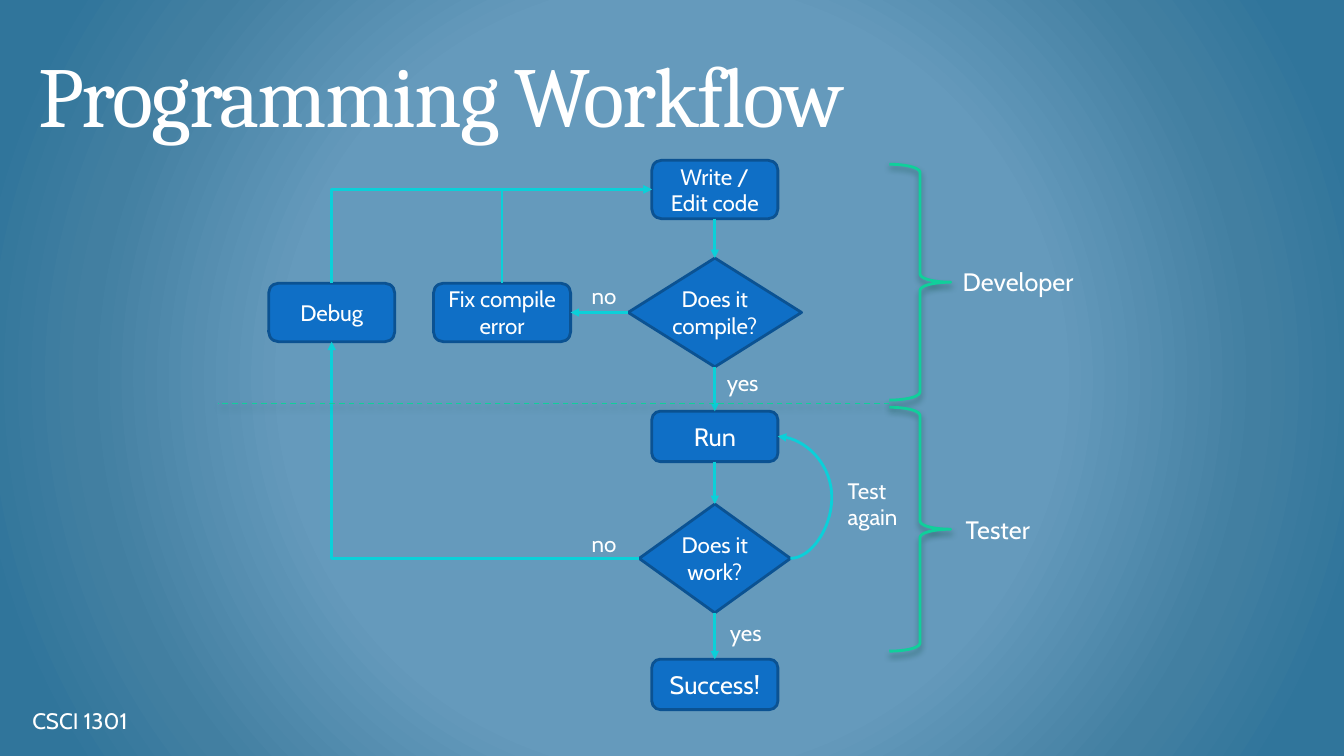
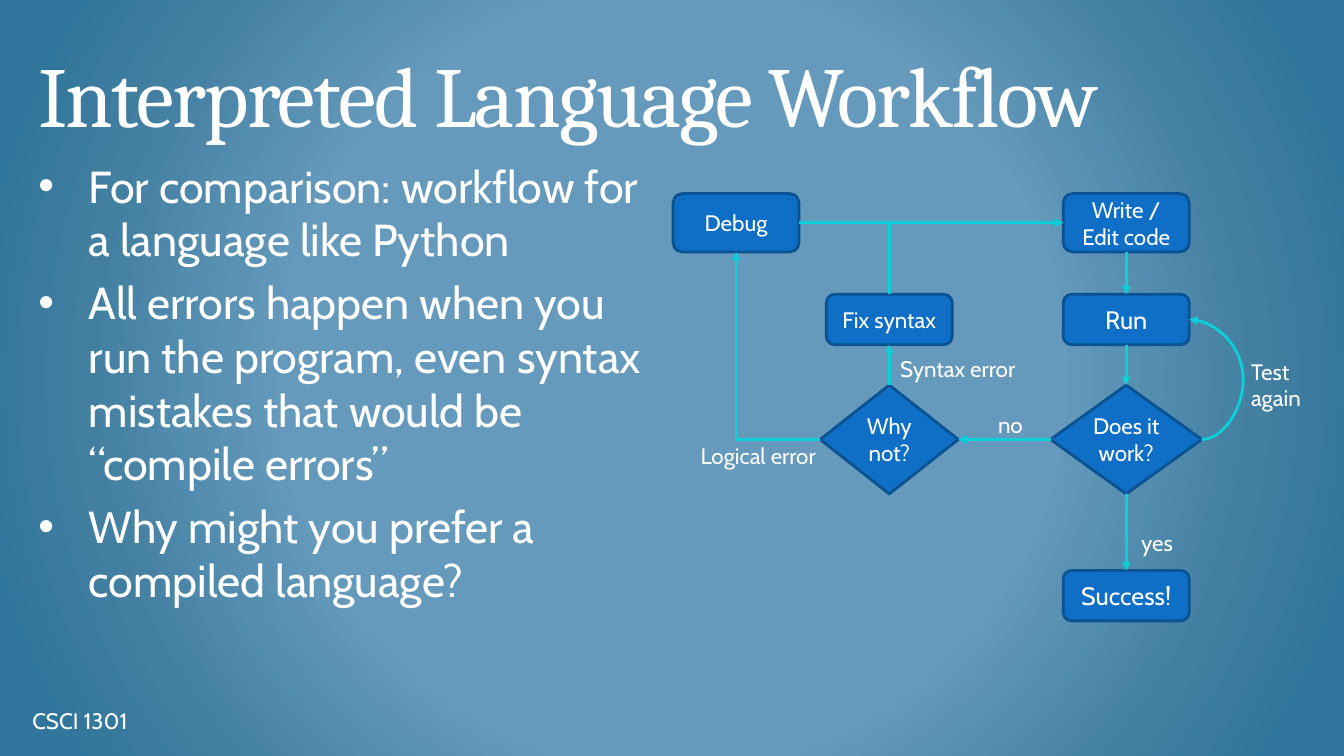
"""Build two slides that compare compiled and interpreted programming workflows."""
from pptx import Presentation
from pptx import util as u
from pptx.dml.color import RGBColor
from pptx.enum import dml, shapes, text
from pptx.oxml import parse_xml
from pptx.oxml.ns import nsdecls, qn

COLORS = {"center": "659ABC", "middle": "427FA1", "edge": "30759B", "text": "FFFFFF",
          "node": "0F6FC6", "border": "0B5292", "arrow": "0BD0D9", "brace": "10CF9B",
          "shadow": "044A37"}
BODY_FONT, TITLE_FONT = "Cabin", "Cambria"
TOP, LEFT, BOTTOM, RIGHT = range(4)
SHAPE, LINE = shapes.MSO_SHAPE, shapes.MSO_CONNECTOR
BOX, DIAMOND = SHAPE.ROUNDED_RECTANGLE, SHAPE.FLOWCHART_DECISION
CURVE_REACH = u.Inches(0.41)
SHADOW = (f'<a:outerShdw {nsdecls("a")} blurRad="57150" dist="38100" dir="5400000" '
          f'algn="ctr" rotWithShape="0"><a:srgbClr val="{COLORS["shadow"]}">'
          '<a:alpha val="48000"/></a:srgbClr></a:outerShdw>')


def write(shape, *lines, size=16, font=BODY_FONT, align=text.PP_ALIGN.LEFT,
          anchor=text.MSO_ANCHOR.TOP, insets=(0.1, 0.05, 0.1, 0.05), wrap=True,
          fit=text.MSO_AUTO_SIZE.NONE, spacing=None, tracking=None, hanging=None):
    """Fill a shape with formatted paragraphs."""
    frame = shape.text_frame
    frame.word_wrap, frame.auto_size, frame.vertical_anchor = wrap, fit, anchor
    (frame.margin_left, frame.margin_top,
     frame.margin_right, frame.margin_bottom) = map(u.Inches, insets)
    for index, line in enumerate(lines):
        para = frame.add_paragraph() if index else frame.paragraphs[0]
        para.alignment = align
        if spacing:
            para.line_spacing = u.Pt(spacing)
        if hanging:
            properties = para._p.get_or_add_pPr()
            properties.set("marL", str(u.Inches(hanging)))
            properties.set("indent", str(-u.Inches(hanging)))
        span = para.add_run()
        span.text = line
        span.font.size, span.font.name = u.Pt(size), font
        span.font.color.rgb = RGBColor.from_string(COLORS["text"])
        if tracking:
            span.font._element.set("spc", str(round(tracking * 100)))


def link(page, start, start_side, end, end_side):
    """Join two nodes with an arrow whose form follows from the sides used."""
    if start_side == end_side:
        kind = LINE.CURVE
    elif abs(start_side - end_side) == 2:
        kind = LINE.STRAIGHT
    else:
        kind = LINE.ELBOW
    arrow = page.shapes.add_connector(kind, 0, 0, 0, 0)
    arrow.begin_connect(start, start_side)
    arrow.end_connect(end, end_side)
    arrow.line.width = u.Pt(2)
    arrow.line.color.rgb = RGBColor.from_string(COLORS["arrow"])
    arrow.line._get_or_add_ln().append(parse_xml(f'<a:tailEnd {nsdecls("a")} type="triangle"/>'))
    properties = arrow._element.spPr
    properties.append(parse_xml(f'<a:effectLst {nsdecls("a")}/>'))
    geometry = properties.find(qn("a:prstGeom"))
    if kind == LINE.CURVE:
        bend = round(-CURVE_REACH / arrow.width * 100000)
        geometry.get_or_add_avLst().append(parse_xml(
            f'<a:gd {nsdecls("a")} name="adj1" fmla="val {bend}"/>'))
    elif kind == LINE.ELBOW:
        geometry.set("prst", "bentConnector2")
        upward = start_side == TOP
        frame = properties.xfrm
        frame.rot, frame.flipH, frame.flipV = (90 if upward else 180), upward, upward
        if upward:
            width, height = arrow.width, arrow.height
            arrow.left += (width - height) // 2
            arrow.top += (height - width) // 2
            arrow.width, arrow.height = height, width


PAGES = [
    {"title": "Programming Workflow",
     "nodes": {
         "write": ("Write / Edit code", BOX, 7.09, 1.88, 1.25, 0.58, 16),
         "compile": ("Does it compile?", DIAMOND, 7.09, 3.1, 1.72, 1.08, 16),
         "run": ("Run", BOX, 7.09, 4.33, 1.25, 0.5, 18),
         "work": ("Does it work?", DIAMOND, 7.09, 5.54, 1.5, 1.08, 16),
         "success": ("Success!", BOX, 7.09, 6.79, 1.25, 0.5, 18),
         "fix": ("Fix compile error", BOX, 4.98, 3.1, 1.36, 0.58, 16),
         "debug": ("Debug", BOX, 3.29, 3.1, 1.25, 0.58, 16)},
     "links": [("write", BOTTOM, "compile", TOP), ("compile", BOTTOM, "run", TOP),
               ("compile", LEFT, "fix", RIGHT), ("fix", TOP, "write", LEFT),
               ("run", BOTTOM, "work", TOP), ("work", BOTTOM, "success", TOP),
               ("work", LEFT, "debug", BOTTOM), ("work", RIGHT, "run", RIGHT),
               ("debug", TOP, "write", LEFT)],
     "labels": [("no", 5.77, 2.75, 0.45, 16), ("yes", 7.11, 3.61, 0.52, 16),
                ("no", 5.77, 5.21, 0.45, 16), ("yes", 7.14, 6.09, 0.52, 16),
                ("Test again", 8.31, 4.68, 0.77, 16),
                ("Developer", 9.45, 2.59, 1.3, 18), ("Tester", 9.48, 5.05, 0.86, 18)],
     "braces": [(1.63, 2.34), (4.04, 2.42)], "bullets": []},
    {"title": "Interpreted Language Workflow",
     "nodes": {
         "write": ("Write / Edit code", BOX, 11.17, 2.21, 1.25, 0.58, 16),
         "run": ("Run", BOX, 11.17, 3.17, 1.25, 0.5, 18),
         "work": ("Does it work?", DIAMOND, 11.17, 4.36, 1.5, 1.08, 16),
         "success": ("Success!", BOX, 11.17, 5.91, 1.25, 0.5, 18),
         "debug": ("Debug", BOX, 7.3, 2.21, 1.25, 0.58, 16),
         "why": ("Why not?", DIAMOND, 8.82, 4.36, 1.37, 1.08, 16),
         "fix": ("Fix syntax", BOX, 8.82, 3.17, 1.25, 0.5, 16)},
     "links": [("write", BOTTOM, "run", TOP), ("why", LEFT, "debug", BOTTOM),
               ("run", BOTTOM, "work", TOP), ("work", BOTTOM, "success", TOP),
               ("work", RIGHT, "run", RIGHT), ("work", LEFT, "why", RIGHT),
               ("why", TOP, "fix", BOTTOM), ("debug", RIGHT, "write", LEFT),
               ("fix", TOP, "write", LEFT)],
     "labels": [("no", 9.8, 4.03, 0.45, 16), ("yes", 11.22, 5.2, 0.52, 16),
                ("Test again", 12.31, 3.5, 0.77, 16),
                ("Syntax error", 8.83, 3.47, 1.37, 16),
                ("Logical error", 6.85, 4.34, 1.4, 16)],
     "braces": [],
     "bullets": ["For comparison: workflow for a language like Python",
                 "All errors happen when you run the program, even syntax mistakes "
                 "that would be “compile errors”",
                 "Why might you prefer a compiled language?"]},
]

deck = Presentation()
deck.slide_width, deck.slide_height = u.Inches(13.33), u.Inches(7.5)
deck.slide_master.background.fill.solid()
backdrop = deck.slide_master.element.xpath("p:cSld/p:bg/p:bgPr")[0]
stops = "".join(f'<a:gs pos="{place}000"><a:srgbClr val="{COLORS[name]}"/></a:gs>'
                for place, name in ((50, "center"), (76, "middle"), (92, "edge")))
backdrop.replace(backdrop[0], parse_xml(
    f'<a:gradFill {nsdecls("a")} rotWithShape="1"><a:gsLst>{stops}</a:gsLst>'
    '<a:path path="circle"><a:fillToRect l="50000" t="50000" r="50000" b="50000"/></a:path>'
    '</a:gradFill>'))

for content in PAGES:
    layout = deck.slide_layouts[1 if content["bullets"] else 5]
    page = deck.slides.add_slide(layout)
    title = page.shapes.title
    title.left, title.top, title.width, title.height = map(u.Inches, (0.25, 0.25, 12.83, 1.25))
    write(title, content["title"], size=61, font=TITLE_FONT, anchor=text.MSO_ANCHOR.BOTTOM,
          insets=(0.13, 0.07, 0.13, 0.07), spacing=77.3, tracking=-1.3)
    footer = page.shapes.add_textbox(*map(u.Inches, (0.25, 6.95, 4.15, 0.4)))
    write(footer, "CSCI 1301", anchor=text.MSO_ANCHOR.MIDDLE, insets=(0.07, 0.07, 0.13, 0.07))

    if content["bullets"]:
        body = page.placeholders[1]
        body.left, body.top, body.width, body.height = map(u.Inches, (0.25, 1.5, 6.31, 5.21))
        write(body, *content["bullets"], size=32, insets=(0.13, 0.07, 0.13, 0.07), hanging=0.5)

    nodes = {}
    for name, (caption, kind, x, y, width, height, size) in content["nodes"].items():
        node = page.shapes.add_shape(
            kind, *map(u.Inches, (x - width / 2, y - height / 2, width, height)))
        node.shadow.inherit = False
        node.fill.solid()
        node.fill.fore_color.rgb = RGBColor.from_string(COLORS["node"])
        node.line.color.rgb = RGBColor.from_string(COLORS["border"])
        node.line.width = u.Pt(2)
        side = 0 if kind == DIAMOND else 0.1
        write(node, caption, size=size, align=text.PP_ALIGN.CENTER,
              anchor=text.MSO_ANCHOR.MIDDLE, insets=(side, 0.05, side, 0.05))
        nodes[name] = node

    for start, start_side, end, end_side in content["links"]:
        link(page, nodes[start], start_side, nodes[end], end_side)

    for caption, x, y, width, size in content["labels"]:
        wrap = caption == "Test again"
        height = 0.64 if wrap else 0.4 if size == 18 else 0.37
        label = page.shapes.add_textbox(*map(u.Inches, (x, y, width, height)))
        write(label, caption, size=size, wrap=wrap, fit=text.MSO_AUTO_SIZE.SHAPE_TO_FIT_TEXT)

    for top, height in content["braces"]:
        brace = page.shapes.add_shape(
            SHAPE.RIGHT_BRACE, *map(u.Inches, (8.82, top, 0.61, height)))
        brace.adjustments[0] = 0.13
        brace.fill.background()
        brace.line.color.rgb = RGBColor.from_string(COLORS["brace"])
        brace.line.width = u.Pt(2)
        brace.shadow.inherit = False
        brace._element.spPr.find(qn("a:effectLst")).append(parse_xml(SHADOW))

    if content["braces"]:
        divider = page.shapes.add_connector(
            LINE.STRAIGHT, *map(u.Inches, (8.82, 4, 2.16, 4)))
        divider.line.color.rgb = RGBColor.from_string(COLORS["brace"])
        divider.line.width = u.Pt(1)
        divider.line.dash_style = dml.MSO_LINE.DASH
        divider._element.spPr.append(parse_xml(
            f'<a:effectLst {nsdecls("a")}>{SHADOW}</a:effectLst>'))

deck.save("out.pptx")
